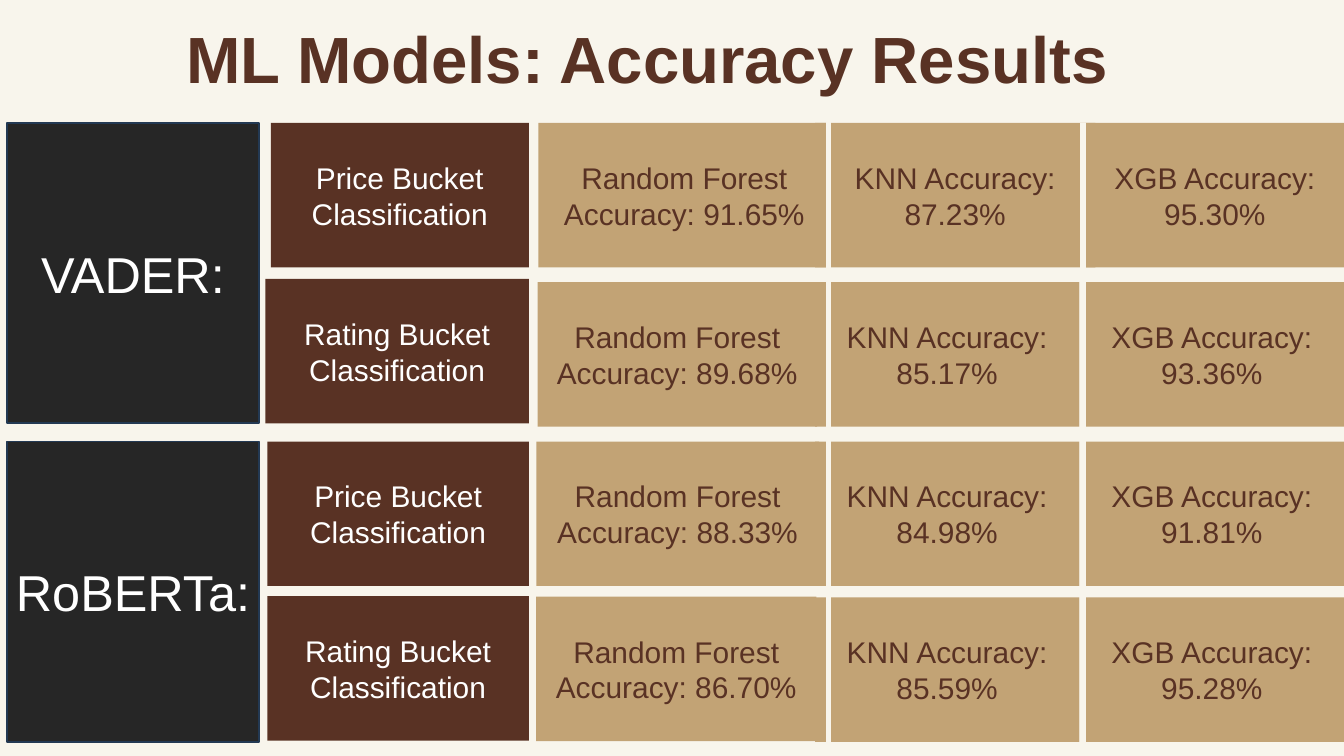
from dataclasses import dataclass

from lxml import etree
from pptx import Presentation
from pptx.dml.color import RGBColor
from pptx.enum.shapes import MSO_CONNECTOR, MSO_SHAPE
from pptx.enum.text import MSO_ANCHOR, PP_ALIGN
from pptx.oxml.ns import qn
from pptx.util import Inches, Pt

RECTANGLE = MSO_SHAPE.RECTANGLE
STRAIGHT = MSO_CONNECTOR.STRAIGHT
MIDDLE = MSO_ANCHOR.MIDDLE
CENTER = PP_ALIGN.CENTER

GRID_COLUMNS, GRID_ROWS = 20, 11.25
SLIDE_WIDTH, SLIDE_HEIGHT = Inches(20), Inches(11.25)

FONT = "Arial"
CREAM, BROWN, TAN = "F8F5EC", "593224", "C2A375"
CHARCOAL, NAVY, WHITE = "262626", "233953", "FFFFFF"

TASK_RIGHT = 7.87
KNN_LEFT = 12.13
CELL_HEIGHT = 2.15
MODEL_LEFT, MODEL_WIDTH, MODEL_HEIGHT = 0.11, 3.74, 4.47


@dataclass(frozen=True)
class Area:
    column: float
    row: float
    columns: float
    rows: float


@dataclass(frozen=True)
class Style:
    fill: str
    text: str
    size: int
    outline: str | None = None


@dataclass(frozen=True)
class Result:
    task: str
    task_left: float
    task_top: float
    forest: tuple[str, ...]
    forest_left: float
    forest_width: float
    forest_top: float
    knn: str
    knn_width: float
    xgb: str
    xgb_left: float
    score_top: float


@dataclass(frozen=True)
class Model:
    name: str
    top: float


@dataclass(frozen=True)
class Divider:
    column: float
    top: float
    bottom: float


MODEL_STYLE = Style(CHARCOAL, WHITE, 54, NAVY)
TASK_STYLE = Style(BROWN, WHITE, 32)
SCORE_STYLE = Style(TAN, BROWN, 32)

MODELS = [Model("VADER:", 1.83), Model("RoBERTa:", 6.57)]
RESULTS = [
    Result("Price", 4.03, 1.83, ("Random Forest", "Accuracy: 91.65%"), 8.01, 4.35, 1.83,
           "87.23%", 4.17, "95.30%", 16.16, 1.83),
    Result("Rating", 3.95, 4.15, ("Random Forest", "Accuracy: 89.68%"), 8, 4.16, 4.2,
           "85.17%", 3.93, "93.36%", 16.07, 4.2),
    Result("Price", 3.98, 6.57, ("Random Forest Accuracy: 88.33%",), 7.98, 4.21, 6.57,
           "84.98%", 3.93, "91.81%", 16.07, 6.57),
    Result("Rating", 3.98, 8.87, ("Random Forest Accuracy: 86.70%",), 7.98, 4.17, 8.88,
           "85.59%", 3.93, "95.28%", 16.07, 8.89),
]
DIVIDERS = [Divider(12.33, 1.73, 11.1), Divider(16.12, 1.83, 11.2)]


def color(value: str) -> RGBColor:
    return RGBColor.from_string(value)


def across(columns: float) -> int:
    return round(SLIDE_WIDTH * columns / GRID_COLUMNS)


def down(rows: float) -> int:
    return round(SLIDE_HEIGHT * rows / GRID_ROWS)


def place(area: Area) -> tuple[int, int, int, int]:
    return across(area.column), down(area.row), across(area.columns), down(area.rows)


def add_span(para, text: str, size: int, text_color: str, bold: bool = False) -> None:
    span = para.add_run()
    span.text = text
    span.font.name = FONT
    span.font.size = Pt(size)
    span.font.bold = bold
    span.font.color.rgb = color(text_color)


def add_title(slide, text: str, area: Area) -> None:
    frame = slide.shapes.add_textbox(*place(area)).text_frame
    frame.word_wrap = True
    frame.margin_left = frame.margin_top = frame.margin_right = frame.margin_bottom = 0
    para = frame.paragraphs[0]
    para.line_spacing = Pt(70)
    add_span(para, text, 70, BROWN, bold=True)


def add_cell(slide, area: Area, lines: tuple[str, ...], style: Style) -> None:
    box = slide.shapes.add_shape(RECTANGLE, *place(area))
    box.shadow.inherit = False
    box.fill.solid()
    box.fill.fore_color.rgb = color(style.fill)
    if style.outline:
        box.line.color.rgb = color(style.outline)
        box.line.width = Pt(2)
    else:
        box.line.fill.background()
    frame = box.text_frame
    frame.word_wrap = True
    frame.vertical_anchor = MIDDLE
    for index, text in enumerate(lines):
        para = frame.add_paragraph() if index else frame.paragraphs[0]
        para.alignment = CENTER
        add_span(para, text, style.size, style.text)


def add_result(slide, result: Result) -> None:
    task_area = Area(result.task_left, result.task_top, TASK_RIGHT - result.task_left, CELL_HEIGHT)
    forest_area = Area(result.forest_left, result.forest_top, result.forest_width, CELL_HEIGHT)
    knn_area = Area(KNN_LEFT, result.score_top, result.knn_width, CELL_HEIGHT)
    xgb_area = Area(result.xgb_left, result.score_top, GRID_COLUMNS - result.xgb_left, CELL_HEIGHT)
    add_cell(slide, task_area, (f"{result.task} Bucket Classification",), TASK_STYLE)
    add_cell(slide, forest_area, result.forest, SCORE_STYLE)
    add_cell(slide, knn_area, (f"KNN Accuracy: {result.knn}",), SCORE_STYLE)
    add_cell(slide, xgb_area, (f"XGB Accuracy: {result.xgb}",), SCORE_STYLE)


def add_divider(slide, divider: Divider) -> None:
    column = across(divider.column)
    line = slide.shapes.add_connector(
        STRAIGHT, column, down(divider.top), column, down(divider.bottom))
    line.line.color.rgb = color(CREAM)
    line.line.width = Pt(6)
    etree.SubElement(line._element.spPr, qn("a:effectLst"))


def main() -> None:
    deck = Presentation()
    deck.slide_width, deck.slide_height = SLIDE_WIDTH, SLIDE_HEIGHT
    page = deck.slides.add_slide(deck.slide_layouts[6])
    page.background.fill.solid()
    page.background.fill.fore_color.rgb = color(CREAM)
    add_title(page, "ML Models: Accuracy Results", Area(2.77, 0.47, 14.61, 0.98))
    for result in RESULTS:
        add_result(page, result)
    for model in MODELS:
        area = Area(MODEL_LEFT, model.top, MODEL_WIDTH, MODEL_HEIGHT)
        add_cell(page, area, (model.name,), MODEL_STYLE)
    for divider in DIVIDERS:
        add_divider(page, divider)
    deck.save("out.pptx")


if __name__ == "__main__":
    main()
